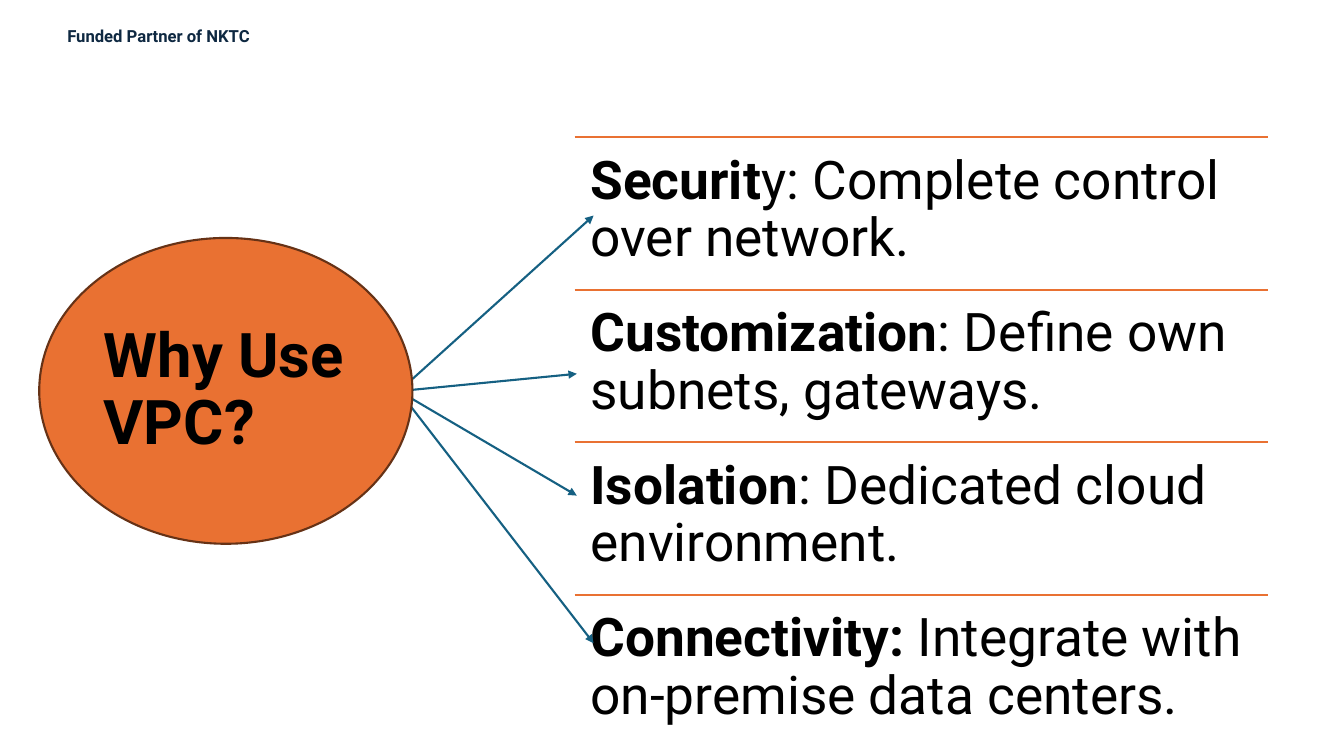
from typing import NamedTuple

from lxml.etree import SubElement
from pptx import Presentation
from pptx.dml.color import RGBColor
from pptx.enum.shapes import MSO_CONNECTOR, MSO_SHAPE
from pptx.enum.text import MSO_ANCHOR, PP_ALIGN
from pptx.oxml.ns import qn
from pptx.shapes.connector import Connector
from pptx.slide import Slide
from pptx.text.text import _Paragraph as Paragraph
from pptx.util import Pt

ORANGE = RGBColor(0xE9, 0x71, 0x32)
BROWN = RGBColor(0x66, 0x32, 0x16)
TEAL = RGBColor(0x15, 0x60, 0x82)
NAVY = RGBColor(0x0E, 0x28, 0x41)
BLACK = RGBColor(0, 0, 0)

FONT = "Roboto"
LINE_WIDTH = 1.5
LIST_LEFT, LIST_TOP, LIST_WIDTH, ROW_HEIGHT = 410.4, 98, 495.4, 108.95
ROW_INSET = 11.4
HUB = (285, 279.4)


class Reason(NamedTuple):
    lead: str
    detail: str
    arrow_tip: tuple[float, float]


REASONS = [
    Reason("Securit", "y: Complete control over network.", (424, 154)),
    Reason("Customization", ": Define own subnets, gateways.", (412, 267)),
    Reason("Isolation", ": Dedicated cloud environment.", (412, 354)),
    Reason("Connectivity: ", "Integrate with on-premise data centers.", (424, 459.4)),
]


def style_paragraph(paragraph: Paragraph, size: float, color: RGBColor, spacing: float) -> None:
    paragraph.alignment = PP_ALIGN.LEFT
    paragraph.line_spacing = spacing
    paragraph.font.name = FONT
    paragraph.font.size = Pt(size)
    paragraph.font.color.rgb = color


def add_line(slide: Slide, start: tuple[float, float], end: tuple[float, float],
             color: RGBColor) -> Connector:
    line = slide.shapes.add_connector(
        MSO_CONNECTOR.STRAIGHT, Pt(start[0]), Pt(start[1]), Pt(end[0]), Pt(end[1]))
    line.line.color.rgb = color
    line.line.width = Pt(LINE_WIDTH)
    SubElement(line._element.spPr, qn("a:effectLst"))
    return line


def add_arrow(slide: Slide, tip: tuple[float, float]) -> None:
    arrow = add_line(slide, HUB, tip, TEAL)
    SubElement(arrow.line._get_or_add_ln(), qn("a:tailEnd"), type="triangle")


def add_reason(slide: Slide, reason: Reason, top: float) -> None:
    """Draw the rule above a reason and its text below."""
    add_line(slide, (LIST_LEFT, top), (LIST_LEFT + LIST_WIDTH, top), ORANGE)
    box = slide.shapes.add_textbox(Pt(LIST_LEFT), Pt(top), Pt(LIST_WIDTH), Pt(ROW_HEIGHT))
    frame = box.text_frame
    frame.word_wrap = True
    frame.margin_left = frame.margin_right = Pt(ROW_INSET)
    frame.margin_top = frame.margin_bottom = Pt(ROW_INSET)
    paragraph = frame.paragraphs[0]
    style_paragraph(paragraph, 38, BLACK, 0.9)
    for text, bold in ((reason.lead, True), (reason.detail, False)):
        run = paragraph.add_run()
        run.text = text
        run.font.bold = bold


def add_partner_note(slide: Slide) -> None:
    box = slide.shapes.add_textbox(Pt(41), Pt(18), Pt(151.2), Pt(19.4))
    paragraph = box.text_frame.paragraphs[0]
    paragraph.text = "Funded Partner of NKTC"
    style_paragraph(paragraph, 11.9, NAVY, 0.8)
    paragraph.font.bold = True


def add_question(slide: Slide) -> None:
    ellipse = slide.shapes.add_shape(MSO_SHAPE.OVAL, Pt(28), Pt(170), Pt(266.6), Pt(218.4))
    ellipse.shadow.inherit = False
    ellipse.fill.solid()
    ellipse.fill.fore_color.rgb = ORANGE
    ellipse.line.color.rgb = BROWN
    ellipse.line.width = Pt(LINE_WIDTH)
    frame = ellipse.text_frame
    frame.word_wrap = True
    frame.vertical_anchor = MSO_ANCHOR.MIDDLE
    paragraph = frame.paragraphs[0]
    paragraph.text = "Why Use VPC?"
    style_paragraph(paragraph, 44, BLACK, 0.9)
    paragraph.space_after = Pt(6)
    paragraph.font.bold = True


def main() -> None:
    presentation = Presentation()
    presentation.slide_width, presentation.slide_height = Pt(960), Pt(540)
    slide = presentation.slides.add_slide(presentation.slide_layouts[6])
    add_partner_note(slide)
    for row, reason in enumerate(REASONS):
        add_reason(slide, reason, LIST_TOP + row * ROW_HEIGHT)
    for reason in REASONS:
        add_arrow(slide, reason.arrow_tip)
    add_question(slide)
    presentation.save("out.pptx")


if __name__ == "__main__":
    main()
